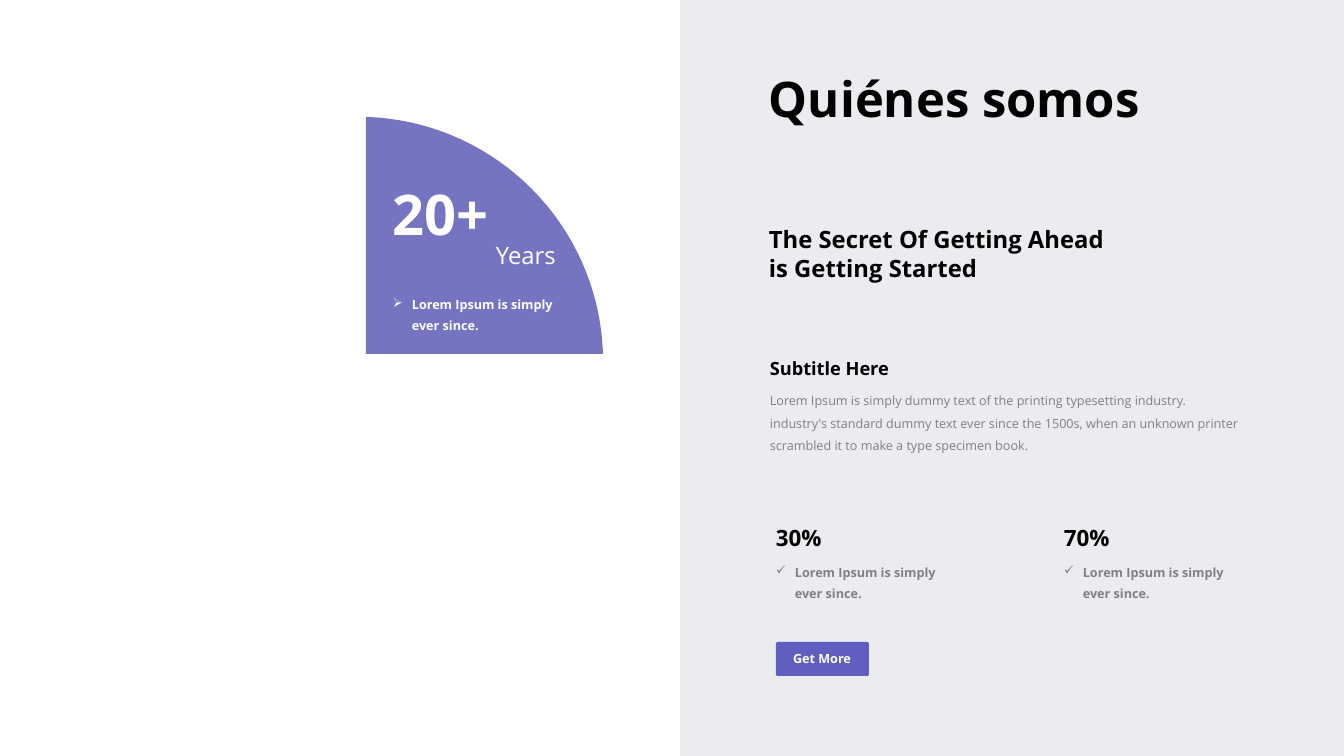
from lxml import etree
from pptx import Presentation
from pptx import util as u
from pptx.dml.color import RGBColor
from pptx.enum import shapes, text
from pptx.oxml import ns

BLACK = RGBColor(0x00, 0x00, 0x00)
WHITE = RGBColor(0xFF, 0xFF, 0xFF)
GREY = RGBColor(0x80, 0x80, 0x80)
PALE = RGBColor(0xEB, 0xEC, 0xF0)
INDIGO = RGBColor(0x3A, 0x3A, 0xA8)
VIOLET = RGBColor(0x60, 0x5F, 0xC0)

WIDTH, HEIGHT = 1344, 756
EMU_PER_PX = u.Inches(7.5) / HEIGHT
FONT = "Open Sans"
CLAIM = ["Lorem Ipsum is simply", "ever since."]


def px(n):
    return u.Emu(round(n * EMU_PER_PX))


class Page:
    """Holds the font and the current slide and draws each kind of element."""

    def __init__(self, prs, background):
        self.s = prs.slides.add_slide(prs.slide_layouts[6])
        fill = self.s.background.fill
        fill.solid()
        fill.fore_color.rgb = background

    def paint(self, sp, color, opacity=100):
        sp.shadow.inherit = False
        sp.fill.solid()
        sp.fill.fore_color.rgb = color
        sp.line.fill.background()
        if opacity < 100:
            clr = sp.fill._xPr.find(".//" + ns.qn("a:srgbClr"))
            etree.SubElement(clr, ns.qn("a:alpha"), val=str(opacity * 1000))

    def box(self, x, y, w, h, color, radius=0):
        kind = shapes.MSO_SHAPE.ROUNDED_RECTANGLE if radius else shapes.MSO_SHAPE.RECTANGLE
        sp = self.s.shapes.add_shape(kind, px(x), px(y), px(w), px(h))
        if radius:
            sp.adjustments[0] = radius / min(w, h)
        self.paint(sp, color)

    def sector(self, corner, curve, color, opacity, steps=60):
        """Fill the area between a corner and a cubic Bézier curve."""
        points = []
        for i in range(steps + 1):
            t = i / steps
            weights = ((1 - t) ** 3, 3 * t * (1 - t) ** 2, 3 * t * t * (1 - t), t ** 3)
            points.append(tuple(px(sum(k * c[axis] for k, c in zip(weights, curve)))
                                for axis in (0, 1)))
        fb = self.s.shapes.build_freeform(*points[0], scale=1.0)
        fb.add_line_segments(points[1:] + [tuple(px(c) for c in corner)], close=True)
        self.paint(fb.convert_to_shape(), color, opacity)

    def label(self, x, y, w, h, lines, size, color, bold=True, wrap=False,
              spacing=None, bullet=None, align=None):
        """Add a text box; a bullet marks its first line and indents the rest."""
        tf = self.s.shapes.add_textbox(px(x), px(y), px(w), px(h)).text_frame
        tf.word_wrap = wrap
        tf.auto_size = text.MSO_AUTO_SIZE.SHAPE_TO_FIT_TEXT
        tf.text = "\n".join(lines)
        for i, p in enumerate(tf.paragraphs):
            if bullet:
                pPr = p._p.get_or_add_pPr()
                pPr.set("marL", str(px(19)))
                pPr.set("indent", str(0 if i else -px(19)))
                if i == 0:
                    etree.SubElement(pPr, ns.qn("a:buChar"), char=bullet)
            if spacing:
                p.line_spacing = u.Pt(spacing)
            p.alignment = align
            for r in p.runs:
                r.font.name = FONT
                r.font.size = u.Pt(size)
                r.font.bold = bold
                r.font.color.rgb = color

    def claim(self, x, y, bullet, color):
        self.label(x, y, 210, 50, CLAIM, 9, color, wrap=True, spacing=15, bullet=bullet)


def main():
    prs = Presentation()
    prs.slide_width, prs.slide_height = px(WIDTH), px(HEIGHT)
    page = Page(prs, PALE)

    page.box(0, 0, 680, HEIGHT, WHITE)
    page.label(759, 64, 394, 70, ["Quiénes somos"], 35, BLACK)
    page.label(759, 220, 358, 68,
               ["The Secret Of Getting Ahead", "is Getting Started"], 17, BLACK)

    for x, share in ((766, "30%"), (1054, "70%")):
        page.label(x, 519, 67, 37, [share], 16, BLACK)
        page.claim(x, 554, "✓", GREY)

    page.box(776, 642, 93, 34, VIOLET, radius=2)
    page.label(782, 646, 80, 25, ["Get More"], 9, WHITE, align=text.PP_ALIGN.CENTER)

    page.label(760, 352, 141, 32, ["Subtitle Here"], 13, BLACK)
    page.label(760, 381, 514, 78,
               ["Lorem Ipsum is simply dummy text of the printing typesetting industry.",
                "industry's standard dummy text ever since the 1500s, when an unknown "
                "printer scrambled it to make a type specimen book."],
               9, GREY, bold=False, wrap=True, spacing=16)

    page.sector((366, 354), ((603, 354), (599, 225), (495, 121), (366, 117)), INDIGO, 70)
    page.label(383, 175, 117, 78, ["20+"], 40, WHITE)
    page.label(486, 236, 82, 39, ["Years"], 17, WHITE, bold=False)
    page.claim(383, 286, "➢", WHITE)

    prs.save("out.pptx")


if __name__ == "__main__":
    main()
